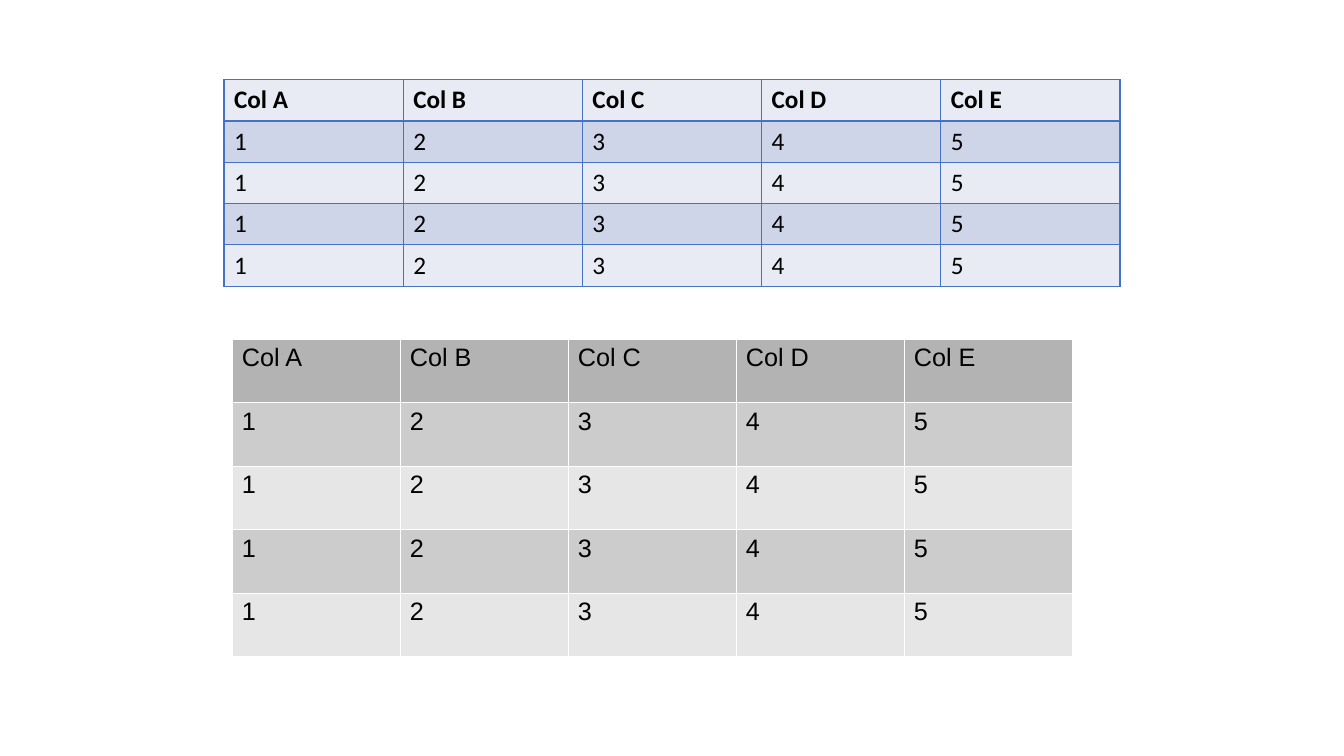
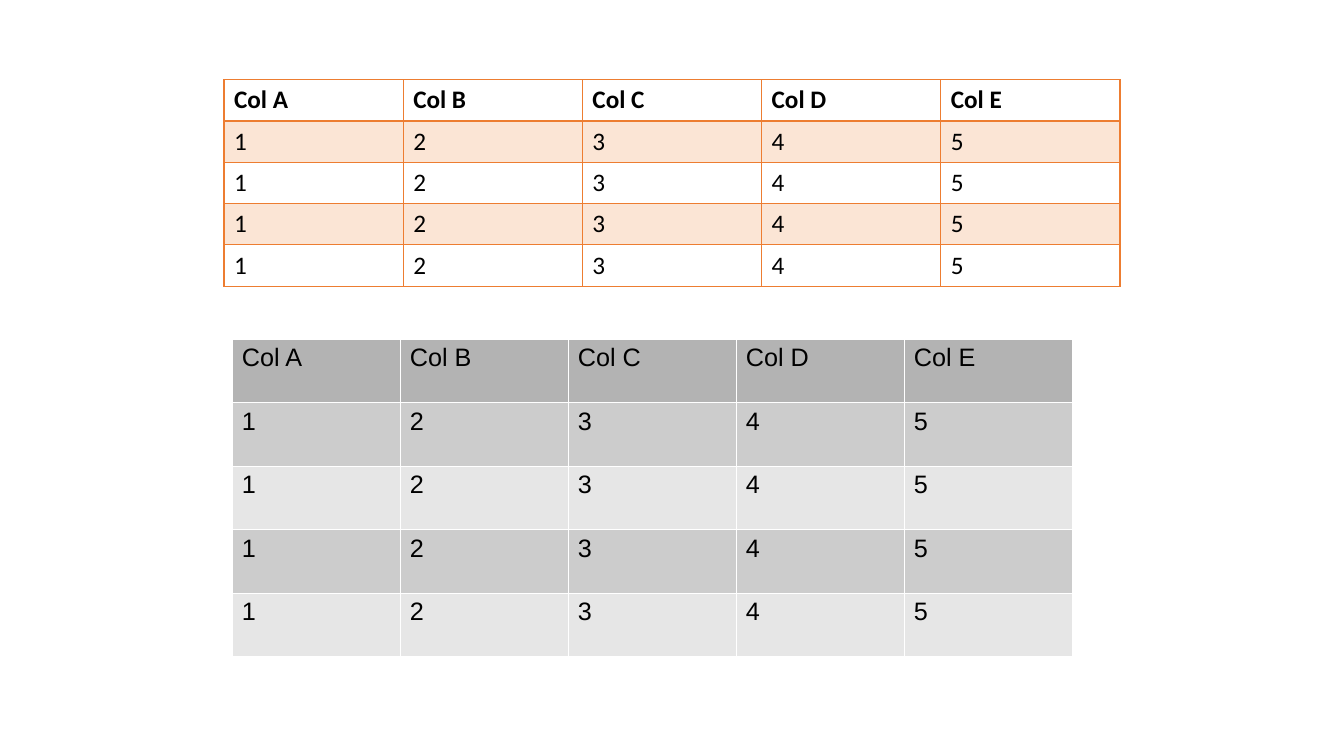
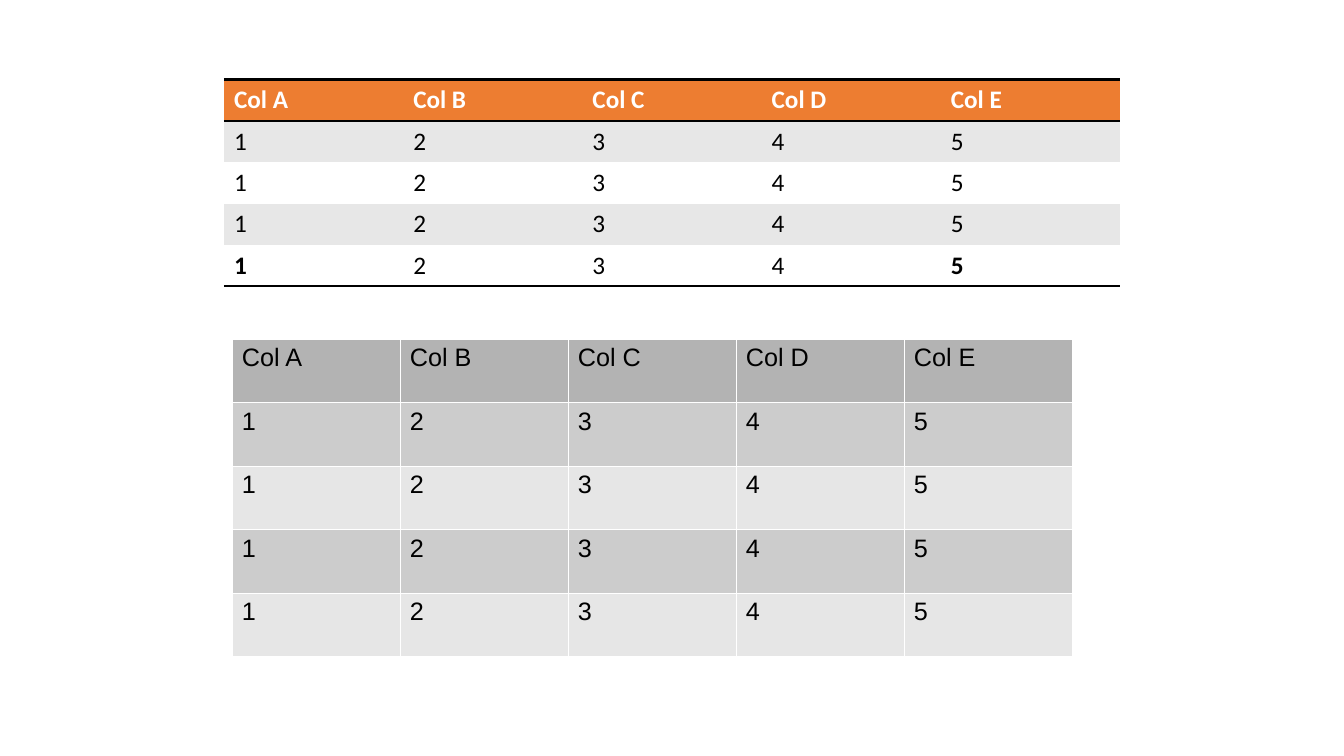
"""Build three slides, each pairing a styled table with the same plain grey one."""
from dataclasses import dataclass

from lxml.etree import SubElement
from pptx import Presentation
from pptx.dml.color import RGBColor
from pptx.enum.text import MSO_VERTICAL_ANCHOR as Anchor
from pptx.oxml.ns import qn
from pptx.slide import Slide
from pptx.table import _Cell as Cell
from pptx.util import Inches, Pt

SLIDE_WIDTH, SLIDE_HEIGHT = 13.33, 7.5
HEADINGS = [f"Col {letter}" for letter in "ABCDE"]
VALUES = [str(number) for number in range(1, 6)]
CONTENT = [HEADINGS] + [VALUES] * 4
BLACK, WHITE, BLUE, ORANGE = "000000", "FFFFFF", "4472C4", "ED7D31"
THIN, THICK, HAIRLINE = 0.96, 1.98, 0.06


@dataclass(frozen=True)
class Frame:
    """Place of a table, with its left and width as shares of the slide's width."""
    left: float
    top: float
    width: float
    row_height: float
    font: str
    anchor: Anchor


@dataclass(frozen=True)
class Fill:
    """Cell colour with its opacity in percent."""
    colour: str
    opacity: int = 100


@dataclass(frozen=True)
class Design:
    """Colours and rules of a table, where a rule of zero points is not drawn."""
    header: Fill | None
    odd: Fill
    even: Fill | None
    rule_colour: str
    row_rules: tuple[float, ...]
    column_rule: float
    header_text: str = BLACK
    bold_header: bool = True
    bold_corners: bool = False


UPPER = Frame(1 / 6, 0.79, 2 / 3, 0.41, "Calibri", Anchor.MIDDLE)
LOWER = Frame(0.1725, 3.36, 0.625, 0.63, "Arial", Anchor.TOP)

GREY = Design(Fill("B3B3B3"), Fill("CCCCCC"), Fill("E6E6E6"), WHITE,
              (HAIRLINE,) * 6, HAIRLINE, bold_header=False)
BLUE_GRID = Design(Fill("E8EBF4"), Fill("CFD5E9"), Fill("E8EBF4"), BLUE,
                   (THIN,) * 6, THIN)
ORANGE_GRID = Design(None, Fill(ORANGE, 20), None, ORANGE,
                     (THIN, THICK, THIN, THIN, THIN, THIN), THIN)
ORANGE_HEADER = Design(Fill(ORANGE), Fill("E7E7E7"), Fill(WHITE), BLACK,
                       (THICK, THICK, 0, 0, 0, THICK), 0,
                       header_text=WHITE, bold_corners=True)


def rgb(colour: str) -> RGBColor:
    """Turn a hex string into a colour."""
    return RGBColor.from_string(colour)


def fill_cell(cell: Cell, fill: Fill | None) -> None:
    """Give a cell its fill, or none."""
    if fill is None:
        cell.fill.background()
        return
    cell.fill.solid()
    cell.fill.fore_color.rgb = rgb(fill.colour)
    if fill.opacity < 100:
        shade = cell._tc.tcPr.find(f".//{qn('a:srgbClr')}")
        SubElement(shade, qn("a:alpha"), val=str(fill.opacity * 1000))


def rule_cell(cell: Cell, colour: str, column_rule: float,
              above: float, below: float) -> None:
    """Draw the four borders of a cell ahead of its fill."""
    properties = cell._tc.get_or_add_tcPr()
    sides = {"lnL": column_rule, "lnR": column_rule, "lnT": above, "lnB": below}
    for position, (side, weight) in enumerate(sides.items()):
        border = SubElement(properties, qn(f"a:{side}"), w=str(int(Pt(weight))))
        if weight:
            paint = SubElement(border, qn("a:solidFill"))
            SubElement(paint, qn("a:srgbClr"), val=colour)
        else:
            SubElement(border, qn("a:noFill"))
        properties.insert(position, border)


def write_cell(cell: Cell, words: str, frame: Frame, colour: str, bold: bool) -> None:
    """Set the text of a cell and its type."""
    cell.text = words
    cell.vertical_anchor = frame.anchor
    font = cell.text_frame.paragraphs[0].font
    font.name, font.size, font.bold = frame.font, Pt(18), bold
    font.color.rgb = rgb(colour)


def add_grid(slide: Slide, frame: Frame, design: Design) -> None:
    """Add the shared content as a table in the given place and design."""
    row_count, column_count = len(CONTENT), len(HEADINGS)
    grid = slide.shapes.add_table(
        row_count, column_count,
        Inches(frame.left * SLIDE_WIDTH), Inches(frame.top),
        Inches(frame.width * SLIDE_WIDTH), Inches(frame.row_height * row_count)).table
    grid.first_row = grid.horz_banding = False
    for row, entries in enumerate(CONTENT):
        is_header, is_last = row == 0, row == row_count - 1
        band = design.header if is_header else design.odd if row % 2 else design.even
        colour = design.header_text if is_header else BLACK
        for column, words in enumerate(entries):
            cell = grid.cell(row, column)
            is_corner = is_last and column in (0, column_count - 1)
            bold = design.bold_header if is_header else design.bold_corners and is_corner
            write_cell(cell, words, frame, colour, bold)
            fill_cell(cell, band)
            rule_cell(cell, design.rule_colour, design.column_rule,
                      design.row_rules[row], design.row_rules[row + 1])


def main() -> None:
    """Build and save the presentation."""
    deck = Presentation()
    deck.slide_width, deck.slide_height = Inches(SLIDE_WIDTH), Inches(SLIDE_HEIGHT)
    blank = deck.slide_layouts[6]
    for design in (BLUE_GRID, ORANGE_GRID, ORANGE_HEADER):
        slide = deck.slides.add_slide(blank)
        add_grid(slide, UPPER, design)
        add_grid(slide, LOWER, GREY)
    deck.save("out.pptx")


if __name__ == "__main__":
    main()
